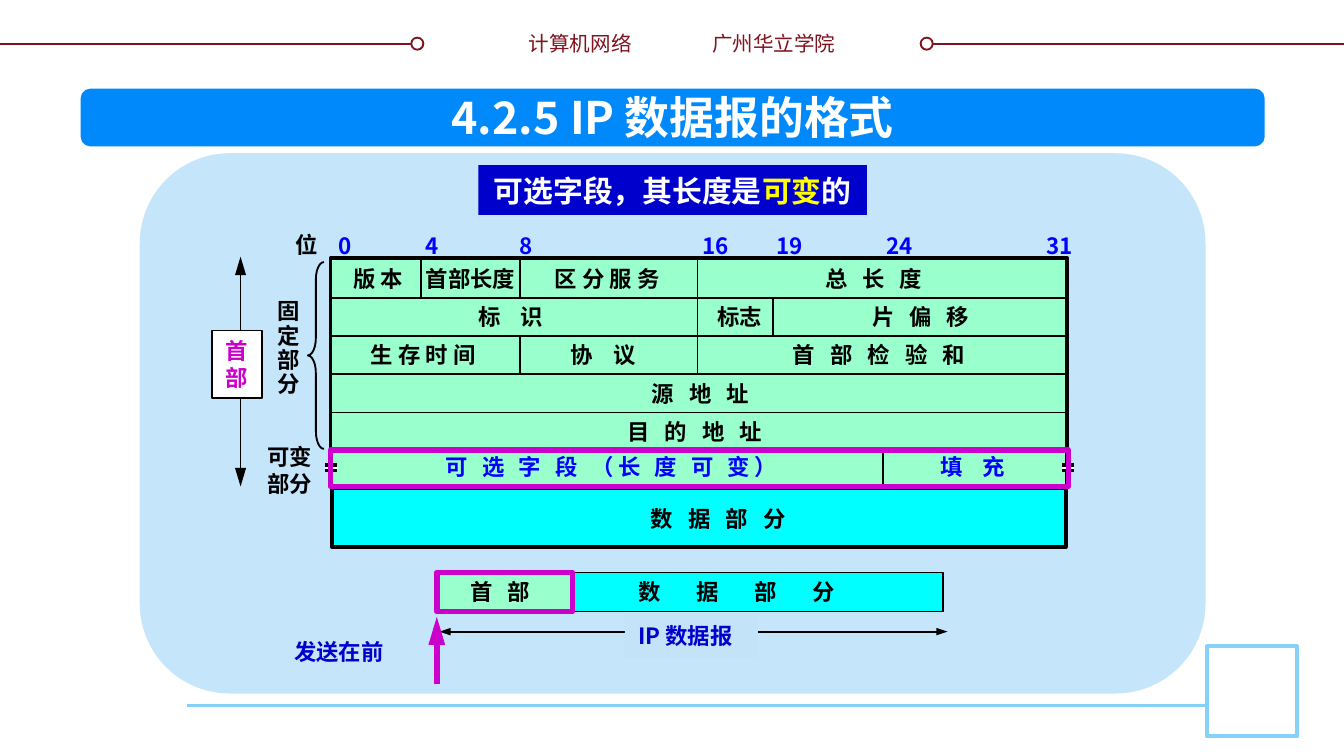
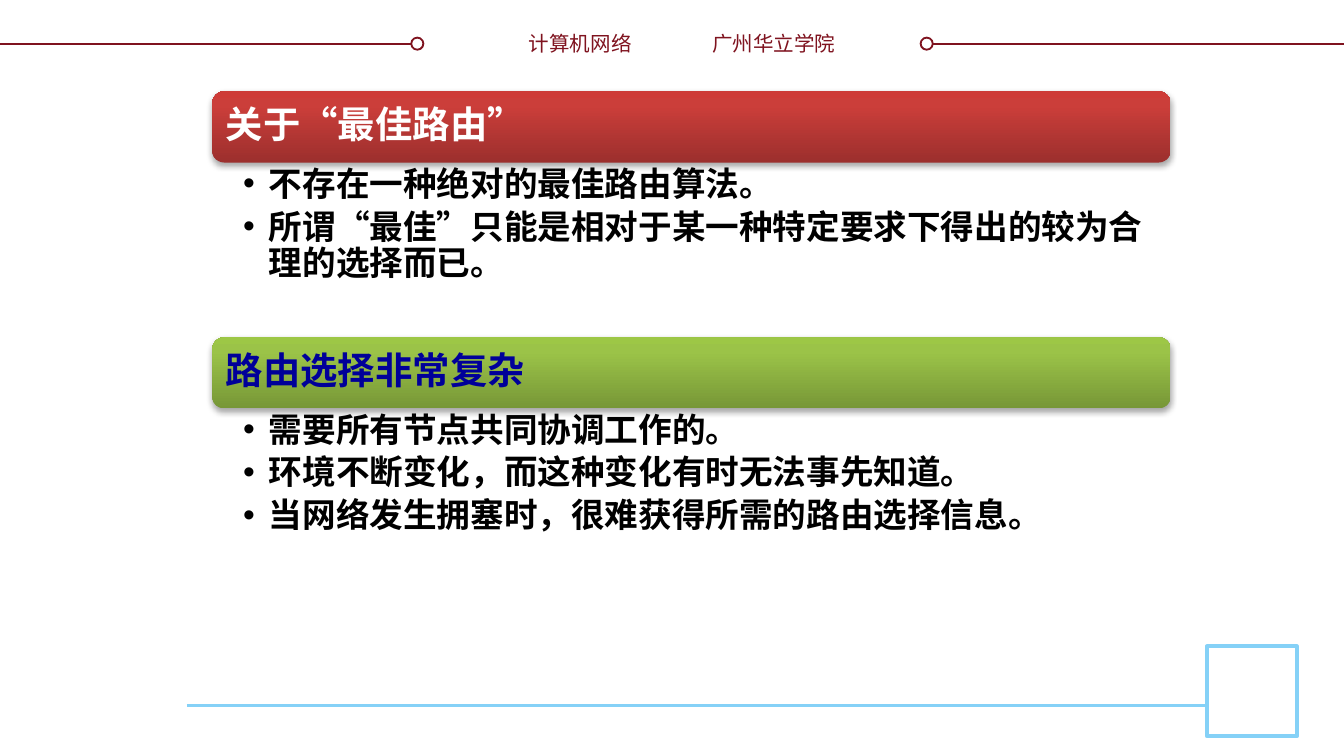
from dataclasses import dataclass

from lxml import etree
from pptx import Presentation
from pptx.dml.color import RGBColor
from pptx.enum.shapes import MSO_CONNECTOR, MSO_SHAPE as SHAPE
from pptx.enum.text import MSO_ANCHOR, MSO_AUTO_SIZE, PP_ALIGN as ALIGN
from pptx.oxml import parse_xml
from pptx.oxml.ns import nsdecls, qn
from pptx.util import Inches, Pt

FONT = "Noto Sans CJK SC"
BLACK = RGBColor(0x00, 0x00, 0x00)
WHITE = RGBColor(0xFF, 0xFF, 0xFF)
MAROON = RGBColor(0x7F, 0x13, 0x1F)
SKY = RGBColor(0x85, 0xD1, 0xF7)
TITLE_BLUE = RGBColor(0x00, 0x89, 0xFA)
PANEL_BLUE = RGBColor(0xC5, 0xE5, 0xFB)
LABEL_BLUE = RGBColor(0xC3, 0xE3, 0xF9)
BLUE = RGBColor(0x00, 0x00, 0xFF)
DEEP_BLUE = RGBColor(0x00, 0x00, 0xCC)
NAVY = RGBColor(0x00, 0x00, 0x99)
MINT = RGBColor(0x99, 0xFF, 0xCC)
CYAN = RGBColor(0x00, 0xFF, 0xFF)
YELLOW = RGBColor(0xFF, 0xFF, 0x00)
MAGENTA = RGBColor(0xCC, 0x00, 0xCC)
RED_GRADIENT = [(0, "9C2F2D"), (80, "CB3E3A"), (100, "CE3B37")]
GREEN_GRADIENT = [(0, "779737"), (80, "9BC348"), (100, "9DC746")]

# Extra points after each character that widen the gaps between spaced letters
WIDE, WIDER, WIDEST = 2.7, 4, 8.2


@dataclass
class Box:
    left: float
    top: float
    width: float
    height: float

    def inside(self, x, y, width, height):
        return Box(self.left + x, self.top + y, width, height)

    def inches(self):
        return [Inches(v) for v in (self.left, self.top, self.width, self.height)]


def apply(target, formats):
    for name, value in formats.items():
        setattr(target, name, value)


def move(shape, box):
    apply(shape, dict(zip(("left", "top", "width", "height"), box.inches())))


def write(shape, paragraphs, color=BLACK, size=12, bold=True, spacing=0, frame=None, **layout):
    """Fill a shape; a paragraph is a string or a list of (text, colour) runs."""
    text_frame = shape.text_frame
    apply(text_frame, {
        "word_wrap": False, "auto_size": MSO_AUTO_SIZE.NONE,
        "vertical_anchor": MSO_ANCHOR.MIDDLE,
        "margin_left": Inches(0.1), "margin_right": Inches(0.1),
        "margin_top": Inches(0.05), "margin_bottom": Inches(0.05), **(frame or {})})
    for index, content in enumerate(paragraphs):
        paragraph = text_frame.add_paragraph() if index else text_frame.paragraphs[0]
        apply(paragraph, {"alignment": ALIGN.LEFT, "space_before": Pt(0), **layout})
        runs = [(content, color)] if isinstance(content, str) else content
        for text, run_color in runs:
            run = paragraph.add_run()
            run.text = text
            apply(run.font, {"name": FONT, "size": Pt(size), "bold": bold})
            run.font.color.rgb = run_color
            properties = run._r.get_or_add_rPr()
            etree.SubElement(properties, qn("a:ea"), typeface=FONT)
            if spacing:
                properties.set("spc", str(round(spacing * 100)))
    return shape


def label(slide, box, *paragraphs, **formats):
    return write(slide.shapes.add_textbox(*box.inches()), paragraphs, **formats)


def block(slide, box, fill=None, line=None, width=1, kind=SHAPE.RECTANGLE):
    shape = slide.shapes.add_shape(kind, *box.inches())
    shape.shadow.inherit = False
    if fill is None:
        shape.fill.background()
    else:
        shape.fill.solid()
        shape.fill.fore_color.rgb = fill
    if line is None:
        shape.line.fill.background()
    else:
        shape.line.color.rgb = line
        shape.line.width = Pt(width)
    return shape


def rule(slide, box, color=BLACK, width=1, ends=(), head=("med", "lg")):
    """Draw a line along a box; ends names the arrowhead elements to add."""
    x, y, run, drop = box.inches()
    line = slide.shapes.add_connector(MSO_CONNECTOR.STRAIGHT, x, y, x + run, y + drop)
    line.line.color.rgb = color
    line.line.width = Pt(width)
    for end in ends:
        etree.SubElement(line.element.spPr.find(qn("a:ln")), qn(f"a:{end}"),
                         type="triangle", w=head[0], len=head[1])
    etree.SubElement(line.element.spPr, qn("a:effectLst"))
    return line


def to_front(shape):
    shape.element.getparent().append(shape.element)


def shared_frame(slide, master):
    """Draw the header and footer decoration and hand it to the master."""
    parts = []
    for line_left, ring_left in ((0, 3.06), (6.85, 6.85)):
        parts.append(rule(slide, Box(line_left, 0.33, 3.15, 0), MAROON))
        parts.append(block(slide, Box(ring_left, 0.28, 0.09, 0.09), WHITE, MAROON, kind=SHAPE.OVAL))
    header = {"color": MAROON, "size": 11, "bold": False}
    parts += [
        label(slide, Box(3.83, 0.18, 0.97, 0.29), "计算机网络", alignment=ALIGN.RIGHT, **header),
        label(slide, Box(5.2, 0.18, 1.16, 0.29), "广州华立学院", **header),
        rule(slide, Box(1.39, 5.25, 7.59, 0), SKY, 1.5),
        block(slide, Box(8.98, 4.81, 0.67, 0.67), WHITE, SKY, 2),
    ]
    for number, part in enumerate(parts, start=100):
        part.element.xpath(".//p:cNvPr")[0].set("id", str(number))
        master.shapes.element.append(part.element)


def title_bar(slide, box, text):
    bar = block(slide, box, TITLE_BLUE, kind=SHAPE.ROUNDED_RECTANGLE)
    bar.adjustments[0] = 0.167
    title = slide.shapes.title
    move(title, box.inside(2.57, -0.04, 3.67, 0.5))
    write(title, [text], WHITE, 24, alignment=ALIGN.CENTER)
    to_front(title)


def bit_ruler(slide, box):
    label(slide, box.inside(-0.36, -0.01, 0.37, 0.3), "位")
    for bit, x in ((0, -0.04), (4, 0.61), (8, 1.31), (16, 2.67), (19, 3.22), (24, 4.04), (31, 5.23)):
        label(slide, box.inside(x, 0, 0.3 if bit < 10 else 0.41, 0.3), str(bit), color=BLUE)


def header_fields(slide, box):
    block(slide, box, MINT, BLACK, 2)
    block(slide, box.inside(0.01, 1.71, 5.46, 0.44), CYAN, BLACK, 2.25)
    label(slide, box.inside(1.87, 1.79, 2.03, 0.3), "数 据 部 分", spacing=WIDE, alignment=ALIGN.CENTER)

    row_height = 0.285
    for row in range(1, 6):
        rule(slide, box.inside(0, 0.01 + row * row_height, box.width, 0))
    dividers = ((0.67, 0, 1), (1.41, 0, 1), (1.41, 2, 1), (2.73, 0, 3), (3.29, 1, 1), (4.11, 5, 1))
    for x, row, rows in dividers:
        rule(slide, box.inside(x, 0.01 + row * row_height, 0, rows * row_height))

    fields = (
        (0, 0.07, 0.59, "版 本", 0), (0, 0.61, 0.87, "首部长度", 0),
        (0, 1.57, 1.03, "区 分 服 务", 0), (0, 3.58, 1.01, "总 长 度", WIDE),
        (1, 1, 0.74, "标 识", WIDER), (1, 2.78, 0.54, "标志", 0),
        (1, 3.93, 1.01, "片 偏 移", WIDE),
        (2, 0.2, 1.03, "生 存 时 间", 0), (2, 1.69, 0.74, "协 议", WIDER),
        (2, 3.34, 1.65, "首 部 检 验 和", WIDE),
        (3, 2.29, 1.01, "源 地 址", WIDE), (4, 2.11, 1.33, "目 的 地 址", WIDE),
        (5, 0.76, 2.9, "可 选 字 段 （长 度 可 变）", 2.4), (5, 4.44, 0.74, "填 充", WIDER),
    )
    for row, x, width, text, spacing in fields:
        lift = 0.02 if row == 5 else 0
        label(slide, box.inside(x, row * row_height - lift, width, 0.3), text,
              color=BLUE if row == 5 else BLACK, spacing=spacing)

    for x in (-0.04, 5.44):
        block(slide, box.inside(x, 1.54, 0.09, 0.04), WHITE)
        for y in (1.54, 1.58):
            rule(slide, box.inside(x, y, 0.09, 0), width=2)
    block(slide, box.inside(0, 1.43, 5.49, 0.27), line=MAGENTA, width=3)


def header_parts(slide, box):
    """Mark the whole header and its fixed and variable parts."""
    rule(slide, box.inside(0.21, 0, 0, 1.71), ends=("headEnd", "tailEnd"))
    whole = block(slide, box.inside(0, 0.55, 0.37, 0.5), WHITE, BLACK)
    write(whole, ["首", "部"], MAGENTA, line_spacing=Pt(14.4))
    label(slide, box.inside(0.39, 0.27, 0.37, 0.83), *"固定部分", line_spacing=Pt(13))
    label(slide, box.inside(0.31, 1.34, 0.54, 0.5), "可变", "部分", line_spacing=Pt(14.4))
    brace = block(slide, box.inside(0.71, 0.04, 0.12, 1.39), line=BLACK, kind=SHAPE.LEFT_BRACE)
    brace.adjustments[0] = 1.08


def packet(slide, box):
    """Draw the datagram as header plus data, with its sending order."""
    rule(slide, box.inside(0.02, 0.44, 3.78, 0), ends=("headEnd", "tailEnd"), head=("sm", "med"))
    block(slide, box.inside(0, 0, 1, 0.29), MINT, BLACK)
    block(slide, box.inside(1, 0, 2.77, 0.29), CYAN, BLACK)
    label(slide, box.inside(1.4, -0.01, 2.16, 0.3), "数 据 部 分", spacing=WIDEST)
    label(slide, box.inside(0.15, -0.01, 0.69, 0.3), "首 部", spacing=WIDE)
    name = block(slide, box.inside(1.4, 0.31, 0.99, 0.32), LABEL_BLUE)
    write(name, ["IP 数据报"], DEEP_BLUE)
    rule(slide, box.inside(0, 0.83, 0, -0.5), MAGENTA, 3, ends=("tailEnd",))
    label(slide, box.inside(-1.16, 0.43, 0.93, 0.32), "发送在前", color=DEEP_BLUE)
    block(slide, box.inside(0, 0, 1.01, 0.29), line=MAGENTA, width=3)


def datagram_slide(slide):
    title_bar(slide, Box(0.6, 0.66, 8.81, 0.43), "4.2.5 IP 数据报的格式")
    panel = Box(1.04, 1.14, 7.93, 4.02)
    block(slide, panel, PANEL_BLUE, kind=SHAPE.ROUNDED_RECTANGLE)
    banner = block(slide, panel.inside(2.52, 0.09, 2.89, 0.37), DEEP_BLUE)
    write(banner, [[("可选字段，其长度是", WHITE), ("可变", YELLOW), ("的", WHITE)]],
          size=16, alignment=ALIGN.CENTER)
    bit_ruler(slide, panel.inside(1.42, 0.54, 5.48, 0.3))
    header_fields(slide, panel.inside(1.42, 0.78, 5.48, 1.7))
    header_parts(slide, panel.inside(0.54, 0.77, 0.83, 1.84))
    packet(slide, panel.inside(2.21, 3.12, 3.77, 0.83))


def heading_band(slide, box, stops):
    band = block(slide, box, WHITE, kind=SHAPE.ROUNDED_RECTANGLE)
    properties = band.element.spPr
    marks = "".join(f'<a:gs pos="{pos * 1000}"><a:srgbClr val="{color}"/></a:gs>' for pos, color in stops)
    properties.replace(properties.find(qn("a:solidFill")), parse_xml(
        f'<a:gradFill {nsdecls("a")} rotWithShape="1"><a:gsLst>{marks}</a:gsLst>'
        '<a:lin ang="16200000" scaled="0"/></a:gradFill>'))
    properties.replace(properties.find(qn("a:effectLst")), parse_xml(
        f'<a:effectLst {nsdecls("a")}><a:outerShdw blurRad="{Pt(3.1)}" dist="{Pt(1.8)}" '
        'dir="5400000" rotWithShape="0"><a:srgbClr val="000000"><a:alpha val="35000"/>'
        '</a:srgbClr></a:outerShdw></a:effectLst>'))


def add_bullets(shape):
    for paragraph in shape.text_frame.paragraphs:
        properties = paragraph._p.get_or_add_pPr()
        properties.set("marL", str(Inches(0.19)))
        properties.set("indent", str(Inches(-0.19)))
        etree.SubElement(properties, qn("a:buChar"), char="•")


def topic(slide, box, heading, points, texts, color, stops):
    """Place a gradient heading with its bulleted points below."""
    heading_text, point_texts = texts
    heading_band(slide, box.inside(0, 0, box.width, 0.53), stops)
    move(heading, box.inside(0.02, 0.02, box.width - 0.05, 0.48))
    padding = dict.fromkeys(("margin_left", "margin_right", "margin_top", "margin_bottom"), Inches(0.08))
    write(heading, [heading_text], color, 20, frame=padding, line_spacing=Pt(21.6))
    to_front(heading)

    move(points, box.inside(0, 0.53, box.width, box.height - 0.53))
    write(points, point_texts, size=18, level=1, line_spacing=Pt(19.4), space_after=Pt(3.6),
          frame={"word_wrap": True, "vertical_anchor": MSO_ANCHOR.TOP,
                 "margin_left": Inches(0.23), "margin_right": Inches(0.14),
                 "margin_top": Inches(0.03), "margin_bottom": Inches(0.03)})
    add_bullets(points)
    to_front(points)


def routing_slide(slide):
    places = {place.placeholder_format.idx: place for place in slide.placeholders}
    unused = places[1].element
    unused.getparent().remove(unused)
    topic(slide, Box(1.58, 0.68, 7.13, 1.83), places[0], places[2], (
        "关于“最佳路由”",
        ["不存在一种绝对的最佳路由算法。",
         "所谓“最佳”只能是相对于某一种特定要求下得出的较为合理的选择而已。"]), WHITE, RED_GRADIENT)
    topic(slide, Box(1.58, 2.51, 7.13, 1.96), places[3], places[4], (
        "路由选择非常复杂",
        ["需要所有节点共同协调工作的。",
         "环境不断变化，而这种变化有时无法事先知道。",
         "当网络发生拥塞时，很难获得所需的路由选择信息。"]), NAVY, GREEN_GRADIENT)


def main():
    deck = Presentation()
    deck.slide_width = Inches(10)
    deck.slide_height = deck.slide_width * 9 // 16
    title_only, comparison = deck.slide_layouts[5], deck.slide_layouts[4]
    datagram = deck.slides.add_slide(title_only)
    shared_frame(datagram, deck.slide_master)
    datagram_slide(datagram)
    routing_slide(deck.slides.add_slide(comparison))
    deck.save("out.pptx")


if __name__ == "__main__":
    main()
